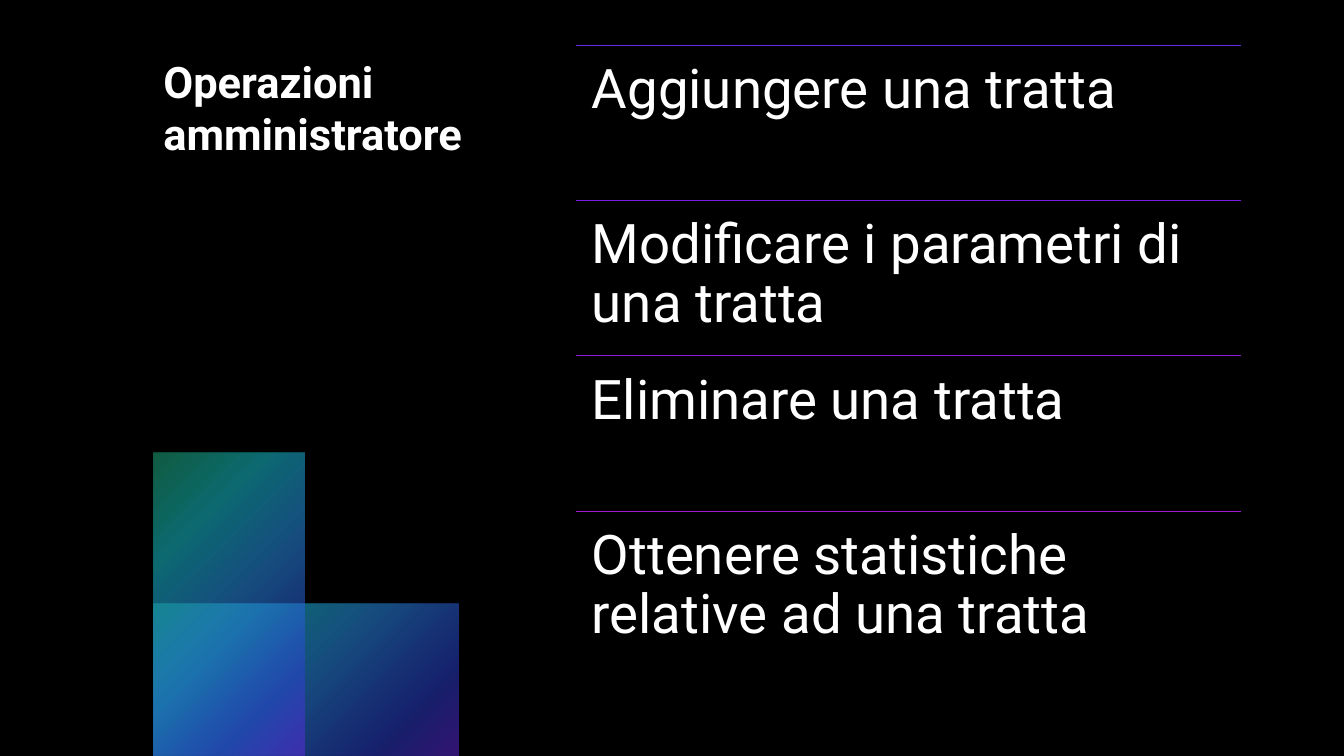
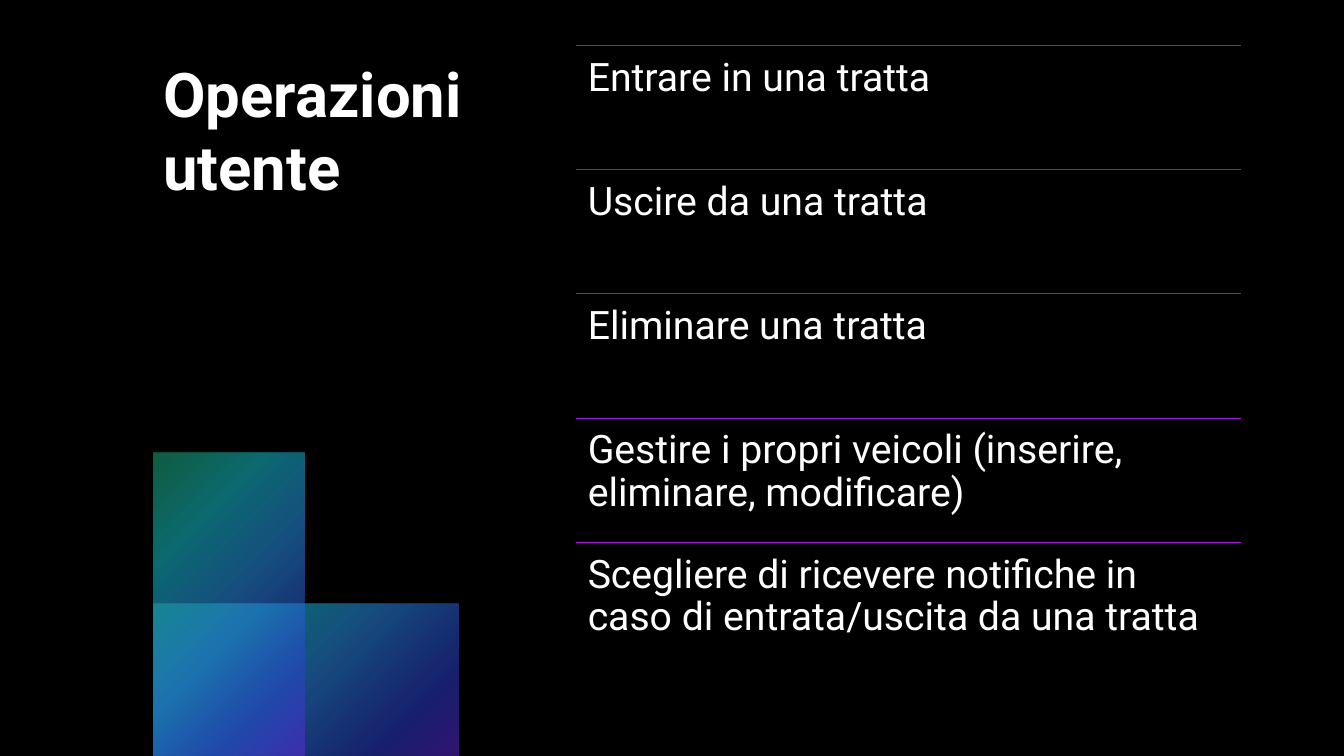
from lxml import etree
from pptx import Presentation
from pptx.dml.color import RGBColor
from pptx.enum.shapes import MSO_CONNECTOR, MSO_SHAPE
from pptx.enum.text import MSO_ANCHOR, MSO_AUTO_SIZE, PP_ALIGN
from pptx.oxml import parse_xml
from pptx.oxml.ns import nsdecls, qn
from pptx.util import Inches, Pt

RECTANGLE = MSO_SHAPE.RECTANGLE
STRAIGHT = MSO_CONNECTOR.STRAIGHT
TOP = MSO_ANCHOR.TOP
LEFT = PP_ALIGN.LEFT
NO_AUTOFIT = MSO_AUTO_SIZE.NONE

FONT = "Roboto"
BLACK, WHITE = "000000", "FFFFFF"
TITLE_ONLY = 5
# Position %, colour, opacity %
GRADIENT_STOPS = [
    (0, "21B782", 50),
    (25, "14B1BC", 60),
    (50, "298CE7", 55),
    (81, "2E40D9", 50),
    (99, "6529E7", 50),
]

# Boxes are left, top, width, height in inches
TITLE_BOX = (1.52, 0.5, 3.48, 3.71)
LIST_BOX = (5.71, 0.45, 6.6, 6.16)
BLOCKS_BOX = (1.52, 4.49, 3.03, 3.01)

# Title, title size, list size, list inset, (rule colour, operation)
OPERATION_SLIDES = [
    ("Operazioni amministratore", 31, 39, 0.16, [
        ("6529E7", "Aggiungere una tratta"),
        ("791EE6", "Modificare i parametri di una tratta"),
        ("8F18E0", "Eliminare una tratta"),
        ("A217D5", "Ottenere statistiche relative ad una tratta"),
    ]),
    ("Operazioni utente", 44, 28, 0.12, [
        ("6529E7", "Entrare in una tratta"),
        ("7421E6", "Uscire da una tratta"),
        ("8419E5", "Eliminare una tratta"),
        ("9418DD", "Gestire i propri veicoli (inserire, eliminare, modificare)"),
        ("A217D5", "Scegliere di ricevere notifiche in caso di entrata/uscita "
                   "da una tratta"),
    ]),
]


def rgb(color):
    return RGBColor.from_string(color)


def inches(box):
    return [Inches(length) for length in box]


def write(frame, text, size, bold=False):
    """Put one left-aligned white paragraph at the top of a text frame."""
    frame.text = text
    frame.word_wrap = True
    frame.auto_size = NO_AUTOFIT
    frame.vertical_anchor = TOP
    paragraph = frame.paragraphs[0]
    paragraph.alignment = LEFT
    font = paragraph.runs[0].font
    font.name, font.size, font.bold = FONT, Pt(size), bold
    font.color.rgb = rgb(WHITE)
    return paragraph


def radial_gradient():
    """Translucent circular gradient spreading from the top left corner."""
    stops = "".join(
        f'<a:gs pos="{position * 1000}"><a:srgbClr val="{color}">'
        f'<a:alpha val="{opacity * 1000}"/></a:srgbClr></a:gs>'
        for position, color, opacity in GRADIENT_STOPS)
    return parse_xml(
        f'<a:gradFill {nsdecls("a")} rotWithShape="1"><a:gsLst>{stops}</a:gsLst>'
        '<a:path path="circle"><a:fillToRect r="100000" b="100000"/></a:path>'
        '</a:gradFill>')


def add_blocks(slide, box):
    """Wide and tall blocks that overlap in the lower left corner."""
    left, top, width, height = box
    wide = (left, top + 1.5, width, height - 1.5)
    tall = (left, top, 1.5, height)
    for block_box in (wide, tall):
        block = slide.shapes.add_shape(RECTANGLE, *inches(block_box))
        block.shadow.inherit = False
        block.line.fill.background()
        block.fill.gradient()
        properties = block.element.spPr
        properties.replace(properties.find(qn("a:gradFill")), radial_gradient())


def add_title(slide, box, text, size):
    title = slide.shapes.title
    title.left, title.top, title.width, title.height = inches(box)
    write(title.text_frame, text, size, bold=True)


def add_rule(slide, left, top, width, color):
    rule = slide.shapes.add_connector(
        STRAIGHT, *inches((left, top, left + width, top)))
    rule.line.color.rgb = rgb(color)
    rule.line.width = Pt(0.5)
    etree.SubElement(rule.element.spPr, qn("a:effectLst"))


def add_operations(slide, box, operations, size, inset):
    """Equal rows, each with a rule along its top edge."""
    left, top, width, height = box
    row_height = height / len(operations)
    for index, (color, operation) in enumerate(operations):
        row_top = top + index * row_height
        add_rule(slide, left, row_top, width, color)
        row = slide.shapes.add_textbox(
            *inches((left, row_top, width, row_height)))
        frame = row.text_frame
        frame.margin_left = frame.margin_right = Inches(inset)
        frame.margin_top = frame.margin_bottom = Inches(inset)
        write(frame, operation, size).line_spacing = 0.9


def add_operations_slide(prs, title, title_size, list_size, inset, operations):
    slide = prs.slides.add_slide(prs.slide_layouts[TITLE_ONLY])
    add_blocks(slide, BLOCKS_BOX)
    add_title(slide, TITLE_BOX, title, title_size)
    add_operations(slide, LIST_BOX, operations, list_size, inset)


def main():
    prs = Presentation()
    prs.slide_width, prs.slide_height = Inches(13.33), Inches(7.5)
    # Shared black background
    background = prs.slide_master.background.fill
    background.solid()
    background.fore_color.rgb = rgb(BLACK)
    for content in OPERATION_SLIDES:
        add_operations_slide(prs, *content)
    prs.save("out.pptx")


if __name__ == "__main__":
    main()
